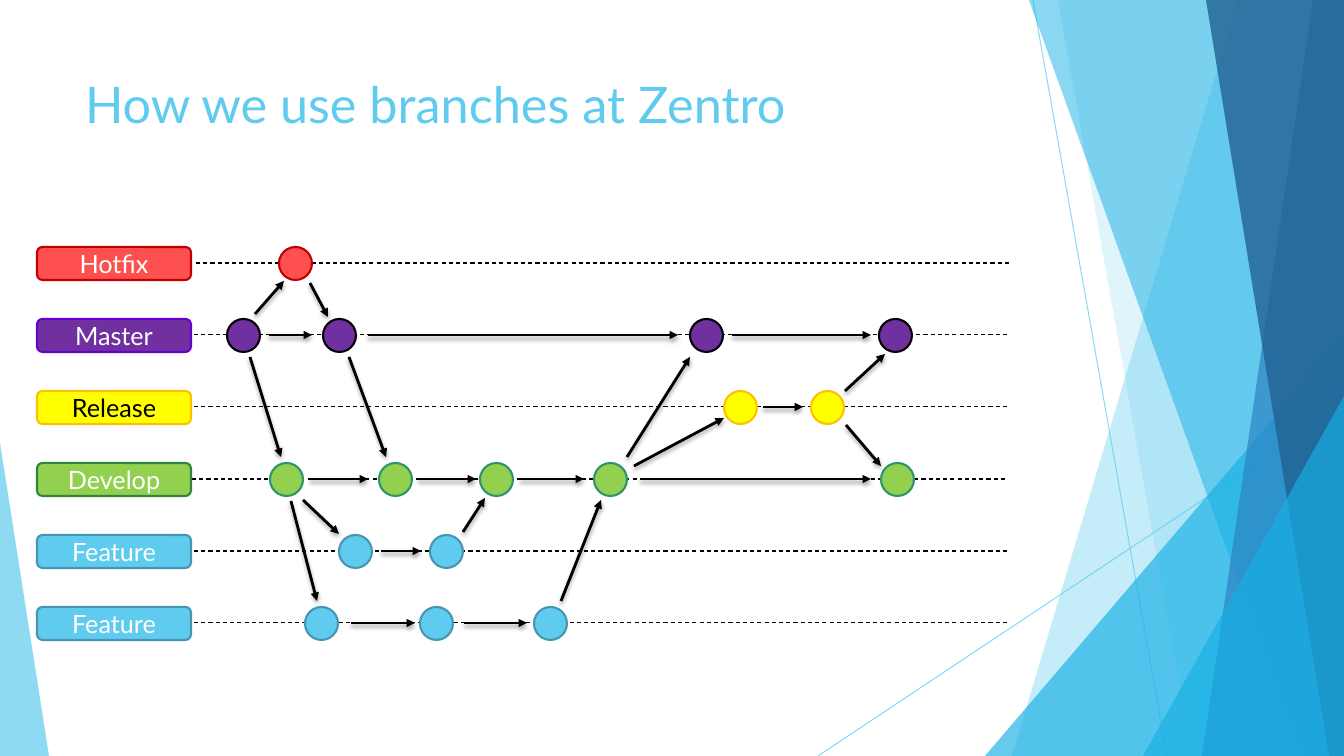
from lxml import etree
from pptx import Presentation, util as u
from pptx.dml.color import RGBColor
from pptx.enum import dml, shapes, text
from pptx.oxml import ns

SCALE = 914400 / 100.8  # EMU per pixel
C = dict(
    sky="5FCBEF", cyan="17B0E4", blue="2E83C3", navy="226292",
    black="000000", white="FFFFFF", red="FF5050", crimson="C00000",
    purple="7030A0", violet="6600CC", yellow="FFFF00", amber="FFC000",
    green="92D050", forest="31843D", teal="2E946B", steel="4696B1",
)
SHAPE = shapes.MSO_SHAPE


def px(n):
    return u.Emu(round(n * SCALE))


def rgb(name):
    return RGBColor.from_string(C[name])


def sub(parent, tag, **attrs):
    return etree.SubElement(parent, ns.qn(tag), attrs)


class Deck:
    font = "Lato"

    def __init__(self, width, height):
        self.prs = Presentation()
        self.prs.slide_width, self.prs.slide_height = px(width), px(height)
        self.s = self.prs.slides.add_slide(self.prs.slide_layouts[5])

    def add_text(self, tf, words, size, color, align, anchor):
        tf.word_wrap = True
        tf.auto_size = text.MSO_AUTO_SIZE.NONE
        tf.vertical_anchor = anchor
        p = tf.paragraphs[0]
        p.alignment = align
        r = p.add_run()
        r.text = words
        r.font.name, r.font.size = self.font, u.Pt(size)
        r.font.color.rgb = rgb(color)

    def title(self, words, x, y, w, h):
        sp = self.s.shapes.title
        sp.left, sp.top, sp.width, sp.height = map(px, (x, y, w, h))
        self.add_text(sp.text_frame, words, 36, "sky",
                      text.PP_ALIGN.LEFT, text.MSO_ANCHOR.TOP)

    def fade(self, sp, alpha):
        for clr in sp._element.spPr.iter(ns.qn("a:srgbClr")):
            sub(clr, "a:alpha", val=str(alpha * 1000))

    def paint(self, sp, fill, line=None, alpha=None):
        sp.shadow.inherit = False
        sp.fill.solid()
        sp.fill.fore_color.rgb = rgb(fill)
        if line:
            sp.line.color.rgb = rgb(line)
            sp.line.width = u.Pt(1.5)
        else:
            sp.line.fill.background()
        if alpha:
            self.fade(sp, alpha)

    def shape(self, kind, x, y, w, h, fill, line=None, alpha=None, adj=None):
        sp = self.s.shapes.add_shape(kind, *map(px, (x, y, w, h)))
        if adj is not None:
            sp.adjustments[0] = adj
        self.paint(sp, fill, line, alpha)
        return sp

    def polygon(self, points, fill, alpha):
        fb = self.s.shapes.build_freeform(*points[0], scale=SCALE)
        fb.add_line_segments(points[1:], close=True)
        self.paint(fb.convert_to_shape(), fill, alpha=alpha)

    def label(self, words, x, y, w, h, fill, line, color):
        tf = self.shape(SHAPE.ROUNDED_RECTANGLE, x, y, w, h, fill, line).text_frame
        tf.margin_top = tf.margin_bottom = 0
        self.add_text(tf, words, 18, color,
                      text.PP_ALIGN.CENTER, text.MSO_ANCHOR.MIDDLE)

    def line(self, x1, y1, x2, y2, color="black", width=0.75,
             dash=False, alpha=None, arrow=False):
        sp = self.s.shapes.add_connector(
            shapes.MSO_CONNECTOR.STRAIGHT, *map(px, (x1, y1, x2, y2)))
        sp.line.color.rgb = rgb(color)
        sp.line.width = u.Pt(width)
        if dash:
            sp.line.dash_style = dml.MSO_LINE.DASH
        if alpha:
            self.fade(sp, alpha)
        spPr = sp._element.spPr
        effects = sub(spPr, "a:effectLst")
        if arrow:
            sub(spPr.find(ns.qn("a:ln")), "a:tailEnd", type="triangle")
            shadow = sub(effects, "a:outerShdw", blurRad="38100", dist="25400",
                         dir="5400000", rotWithShape="0")
            clr = sub(shadow, "a:srgbClr", val=C["black"])
            sub(clr, "a:alpha", val="35000")

    def arrow(self, *ends):
        self.line(*ends, width=2, arrow=True)


W, H = 1344, 756
deck = Deck(W, H)

# Background facets
deck.line(1033, 0, 1167, H, "sky", alpha=70)
deck.line(W, 406, 818, H, "sky", alpha=70)


def facet(top, bottom, fill, alpha):
    deck.polygon([(top, 0), (W, 0), (W, H), (bottom, H)], fill, alpha)


def corner(x, y, w, fill, alpha, adj):
    deck.shape(SHAPE.ISOSCELES_TRIANGLE, x, y, w, H - y, fill, alpha=alpha, adj=adj)


facet(1238, 1012, "sky", 36)
facet(1058, 1192, "sky", 20)
corner(985, 336, 359, "cyan", 66, 1)
facet(1029, 1301, "cyan", 50)
facet(1313, 1202, "blue", 70)
facet(1206, 1329, "navy", 80)
corner(1143, 396, 201, "cyan", 66, 1)
corner(0, 443, 49, "sky", 70, 0)

deck.title("How we use branches at Zentro", 75, 68, 948, 145)

# Lanes: name, fill, label line, text, commit line, guide start, commits, arrows
LANES = [
    ("Hotfix", "red", "crimson", "white", "crimson", 196, [279], []),
    ("Master", "purple", "violet", "white", "black", 194,
     [227, 323, 690, 879], [(269, 312), (368, 678), (732, 871)]),
    ("Release", "yellow", "amber", "black", "amber", 194,
     [724, 811], [(763, 803)]),
    ("Develop", "green", "forest", "white", "teal", 192,
     [270, 379, 480, 594, 881],
     [(310, 368), (418, 476), (520, 584), (640, 871)]),
    ("Feature", "sky", "steel", "white", "steel", 194,
     [339, 430], [(381, 421)]),
    ("Feature", "sky", "steel", "white", "steel", 194,
     [305, 420, 534], [(351, 415), (464, 527)]),
]
TOP, STEP, SIZE, GUIDE = 247, 72, 33, 815

for i, (name, fill, edge, ink, ring, start, commits, arrows) in enumerate(LANES):
    top = TOP + i * STEP
    mid = top + SIZE // 2
    deck.line(start, mid, start + GUIDE, mid, dash=True)
    deck.label(name, 37, top, 154, SIZE, fill, edge, ink)
    for x in commits:
        deck.shape(SHAPE.FLOWCHART_CONNECTOR, x, top, SIZE, SIZE, fill, ring)
    for x1, x2 in arrows:
        deck.arrow(x1, mid, x2, mid)

# Branches and merges between lanes
for ends in [
    (255, 314, 284, 281), (310, 283, 328, 317),
    (250, 357, 281, 457), (349, 357, 386, 457),
    (291, 501, 317, 601), (303, 500, 339, 534),
    (463, 532, 485, 498), (561, 601, 601, 500),
    (627, 457, 690, 357), (634, 466, 724, 418),
    (845, 391, 885, 354), (846, 425, 881, 466),
]:
    deck.arrow(*ends)

deck.prs.save("out.pptx")
